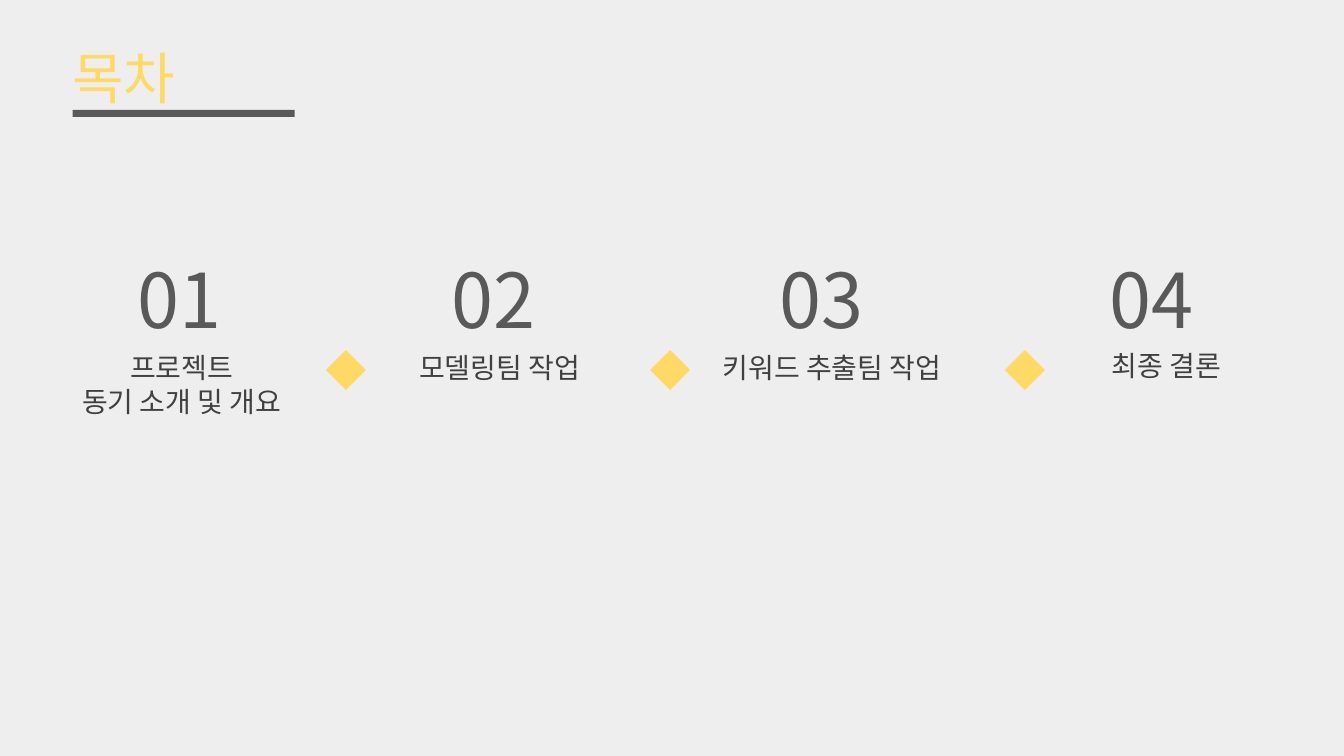
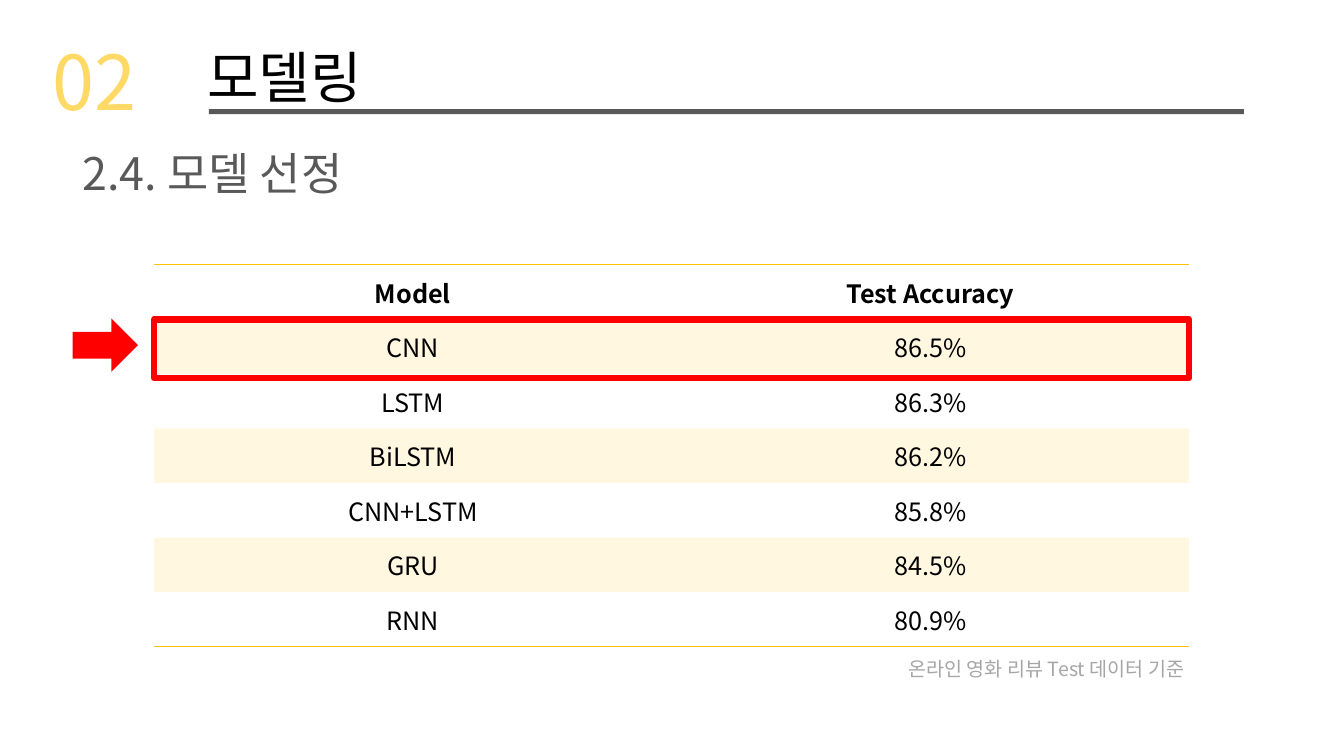
from dataclasses import dataclass

from lxml.etree import SubElement
from pptx import Presentation
from pptx.dml.color import RGBColor
from pptx.enum.shapes import MSO_SHAPE as Shape
from pptx.enum.text import MSO_ANCHOR as Anchor, PP_ALIGN as Align
from pptx.oxml import parse_xml
from pptx.oxml.ns import nsdecls, qn
from pptx.shapes.autoshape import Shape as AutoShape
from pptx.slide import Slide
from pptx.table import _Cell as Cell
from pptx.util import Pt

# Shared style
FONT = "Noto Sans CJK KR"
COLORS = {
    "paper": "EEEEEE", "white": "FFFFFF", "black": "000000",
    "yellow": "FFD966", "gold": "FFC000", "red": "FF0000",
    "dark": "595959", "label": "404040", "note": "A6A6A6",
}
NO_TABLE_STYLE = "{2D5ABB26-0587-4C30-8999-92F81FD0307C}"


@dataclass(frozen=True)
class Box:
    left: float
    top: float
    width: float
    height: float

    def lengths(self) -> tuple[Pt, Pt, Pt, Pt]:
        return Pt(self.left), Pt(self.top), Pt(self.width), Pt(self.height)


@dataclass(frozen=True)
class Chapter:
    number: str
    number_left: float
    number_width: float
    label: str
    label_box: Box
    align: Align = Align.LEFT


def rgb(color: str) -> RGBColor:
    return RGBColor.from_string(COLORS[color])


def style_paragraph(paragraph, size: float, color: str, bold: bool = False) -> None:
    font = paragraph.font
    font.size, font.bold, font.name = Pt(size), bold, FONT
    font.color.rgb = rgb(color)
    latin = font._element.find(qn("a:latin"))
    latin.addnext(parse_xml(f'<a:ea {nsdecls("a")} typeface="{FONT}"/>'))


def add_text(slide: Slide, box: Box, text: str, size: float, color: str,
             align: Align = Align.LEFT, anchor: Anchor = Anchor.TOP,
             spacing: float = 1.0) -> None:
    frame = slide.shapes.add_textbox(*box.lengths()).text_frame
    frame.word_wrap = True
    frame.vertical_anchor = anchor
    frame.text = text
    for paragraph in frame.paragraphs:
        paragraph.alignment, paragraph.line_spacing = align, spacing
        style_paragraph(paragraph, size, color)


def add_solid(slide: Slide, kind: Shape, box: Box, color: str) -> AutoShape:
    solid = slide.shapes.add_shape(kind, *box.lengths())
    solid.shadow.inherit = False
    solid.fill.solid()
    solid.fill.fore_color.rgb = rgb(color)
    solid.line.fill.background()
    return solid


def add_heading(slide: Slide, text: str, box: Box, color: str, rule: Box,
                size: float = 40) -> None:
    add_text(slide, box, text, size, color, anchor=Anchor.BOTTOM, spacing=0.9)
    add_solid(slide, Shape.RECTANGLE, rule, "dark")


def new_slide(background: str) -> Slide:
    slide = deck.slides.add_slide(deck.slide_layouts[6])
    slide.background.fill.solid()
    slide.background.fill.fore_color.rgb = rgb(background)
    return slide


def shade_cell(cell: Cell, color: str, percent: int) -> None:
    cell.fill.solid()
    cell.fill.fore_color.rgb = rgb(color)
    tint = cell._tc.tcPr.find(qn("a:solidFill"))[0]
    SubElement(tint, qn("a:alpha")).set("val", str(percent * 1000))


def border_cell(cell: Cell, sides: str, color: str, width: float) -> None:
    properties = cell._tc.get_or_add_tcPr()
    for position, side in enumerate(sides):
        properties.insert(position, parse_xml(
            f'<a:ln{side} {nsdecls("a")} w="{int(Pt(width))}"><a:solidFill>'
            f'<a:srgbClr val="{COLORS[color]}"/></a:solidFill></a:ln{side}>'))


deck = Presentation()
deck.slide_width, deck.slide_height = Pt(960), Pt(540)

# Slide 1: contents
contents = new_slide("paper")
add_heading(contents, "목차", Box(44.6, 26.6, 128, 57), "yellow",
            Box(52, 78.5, 158.5, 5))

CHAPTERS = [
    Chapter("01", 91.4, 81.4, "프로젝트\n동기 소개 및 개요",
            Box(45.4, 247, 169, 55.5), Align.CENTER),
    Chapter("02", 315.4, 95, "모델링팀 작업", Box(292.3, 247, 137, 31.5)),
    Chapter("03", 550, 95, "키워드 추출팀 작업", Box(509, 247, 182, 31.5)),
    Chapter("04", 785.5, 95, "최종 결론", Box(787, 245.5, 116, 31.5)),
]
for chapter in CHAPTERS:
    add_text(contents, Box(chapter.number_left, 177, chapter.number_width, 72.7),
             chapter.number, 54, "dark")
    add_text(contents, chapter.label_box, chapter.label, 20, "label", chapter.align)

for separator_left in (237, 468.5, 722):
    separator = add_solid(contents, Shape.RECTANGLE,
                          Box(separator_left, 254.2, 20.2, 20.2), "yellow")
    separator.rotation = 45

# Slide 2: model selection
selection = new_slide("white")
add_heading(selection, "모델링", Box(141, 25.2, 669.6, 57), "black",
            Box(149.2, 78, 739.4, 3.6))
add_text(selection, Box(30.2, 23, 158.4, 71.3), "02", 54, "yellow",
         anchor=Anchor.BOTTOM, spacing=0.9)
add_text(selection, Box(52, 100.8, 385, 46), "2.4. 모델 선정", 32, "dark")

# Accuracy table
ACCURACY = [
    ("Model", "Test Accuracy"), ("CNN", "86.5%"), ("LSTM", "86.3%"),
    ("BiLSTM", "86.2%"), ("CNN+LSTM", "85.8%"), ("GRU", "84.5%"), ("RNN", "80.9%"),
]
ROW_HEIGHT = 38.95
TABLE = Box(110, 189.2, 739.4, ROW_HEIGHT * len(ACCURACY))
accuracy = selection.shapes.add_table(len(ACCURACY), 2, *TABLE.lengths()).table
accuracy.first_row = accuracy.horz_banding = False
accuracy._tbl.tblPr.find(qn("a:tableStyleId")).text = NO_TABLE_STYLE
ROW_BORDERS = {0: "TB", len(ACCURACY) - 1: "B"}
for row, values in enumerate(ACCURACY):
    accuracy.rows[row].height = Pt(ROW_HEIGHT)
    for column, value in enumerate(values):
        cell = accuracy.cell(row, column)
        cell.text = value
        cell.vertical_anchor = Anchor.MIDDLE
        entry = cell.text_frame.paragraphs[0]
        entry.alignment = Align.CENTER
        style_paragraph(entry, 18, "black", bold=row == 0)
        if row % 2:
            shade_cell(cell, "yellow", 20)
        else:
            cell.fill.background()
        border_cell(cell, ROW_BORDERS.get(row, ""), "gold", 1)

add_text(selection, Box(641.5, 465.8, 226.8, 24.5), "온라인 영화 리뷰 Test 데이터 기준",
         14, "note")

# Best model highlight
best_model = add_solid(selection, Shape.RECTANGLE,
                       Box(TABLE.left, 228.2, TABLE.width, 41.8), "red")
best_model.fill.background()
best_model.line.color.rgb = rgb("red")
best_model.line.width = Pt(4.5)
add_solid(selection, Shape.RIGHT_ARROW, Box(51.8, 227.5, 46.8, 38.2), "red")

deck.save("out.pptx")
